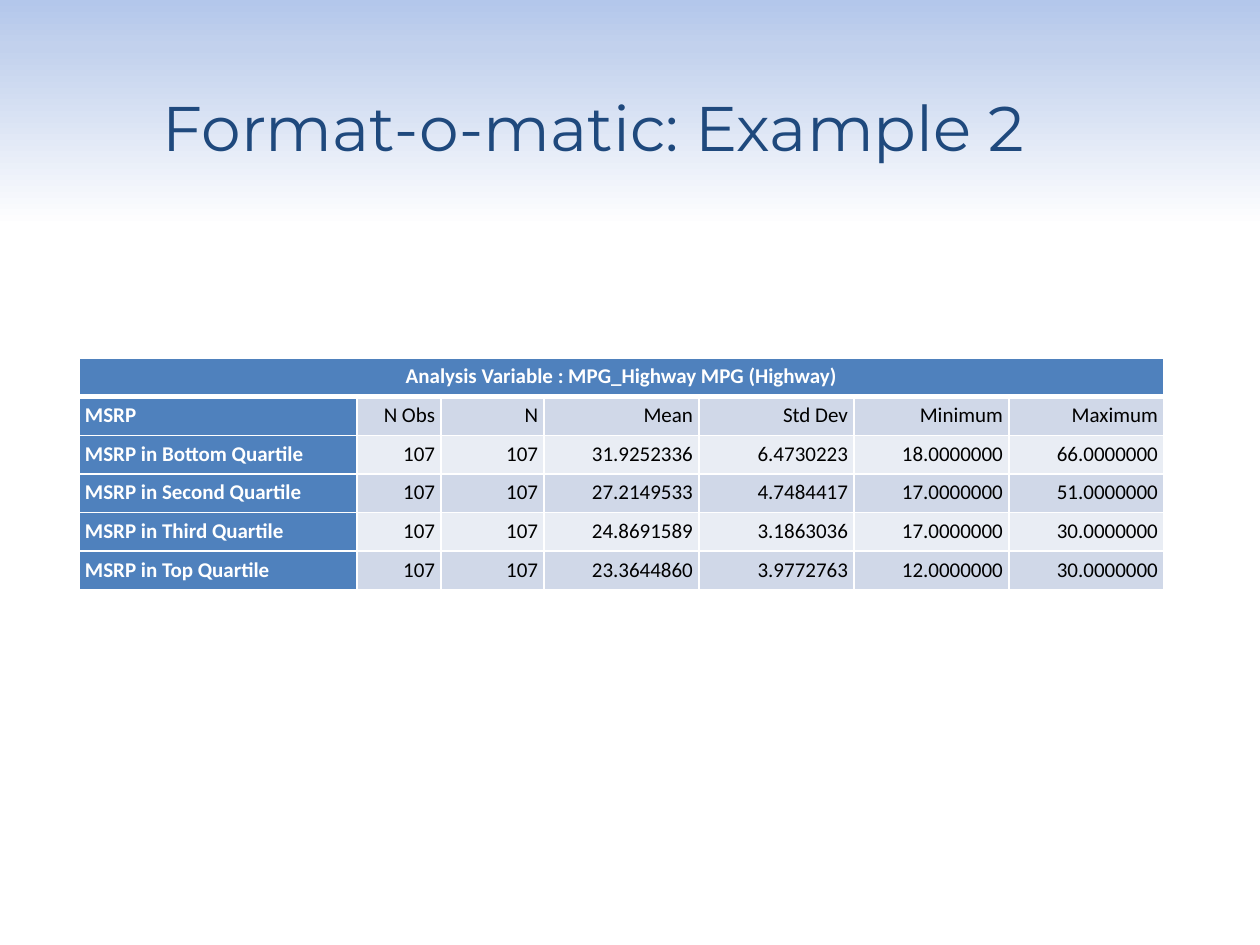
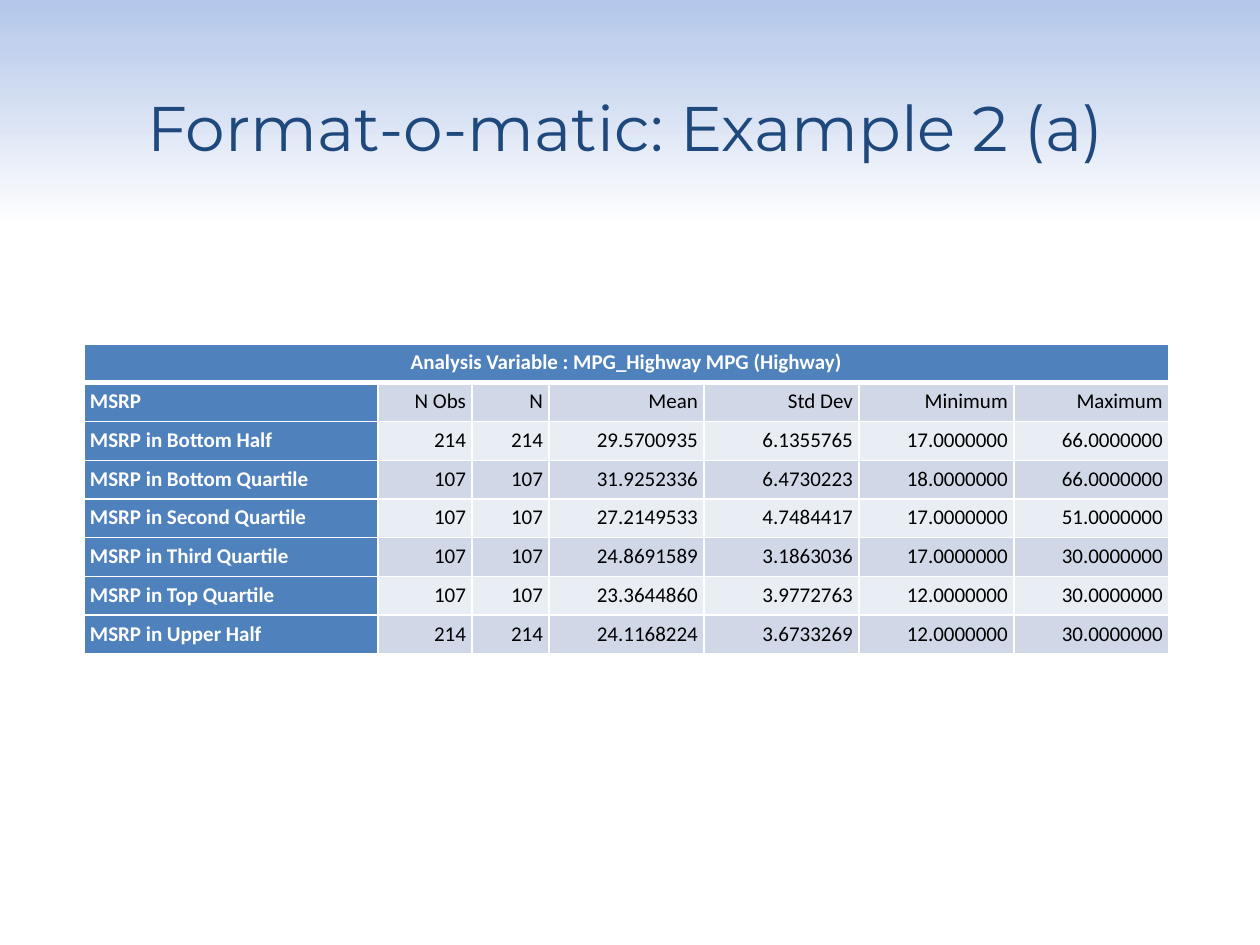
from dataclasses import dataclass

from lxml import etree
from pptx import Presentation
from pptx import util as u
from pptx.dml.color import RGBColor
from pptx.enum import text
from pptx.oxml.ns import qn

SCALE = 914400 / 126  # EMU per px
NAVY, BLUE, WHITE, BLACK = "1F497D", "4F81BD", "FFFFFF", "000000"
BANDS = ["D0D8E8", "E9EDF4"]
FADE = [(0, "B3C7EB"), (5, "C2D1ED"), (24, WHITE), (48, WHITE), (100, WHITE)]
TITLE_FONT, BODY_FONT = "Montserrat", "Calibri"
LEFT, CENTER, RIGHT = (text.PP_ALIGN.LEFT, text.PP_ALIGN.CENTER,
                       text.PP_ALIGN.RIGHT)

CAPTION = "Analysis Variable : MPG_Highway MPG (Highway)"
HEADS = ["MSRP", "N Obs", "N", "Mean", "Std Dev", "Minimum", "Maximum"]
STATS = {
    "Bottom Half": (214, "29.5700935", "6.1355765", 17, 66),
    "Bottom Quartile": (107, "31.9252336", "6.4730223", 18, 66),
    "Second Quartile": (107, "27.2149533", "4.7484417", 17, 51),
    "Third Quartile": (107, "24.8691589", "3.1863036", 17, 30),
    "Top Quartile": (107, "23.3644860", "3.9772763", 12, 30),
    "Upper Half": (214, "24.1168224", "3.6733269", 12, 30),
}


@dataclass
class Page:
    title: str
    title_x: int
    left: int
    top: int
    height: int
    cols: list[int]
    groups: list[str]


STAT_COLS = [155] * 4
PAGES = [
    Page("Format-o-matic: Example 2", 0, 79, 358, 232,
         [278, 84, 103] + STAT_COLS,
         [name for name in STATS if "Quartile" in name]),
    Page("Format-o-matic: Example 2 (a)", 32, 84, 344, 310,
         [294, 94, 77] + STAT_COLS, list(STATS)),
]


def px(n: float) -> u.Emu:
    return u.Emu(round(n * SCALE))


def rgb(code: str) -> RGBColor:
    return RGBColor.from_string(code)


def style(frame, font: str, size: int, color: str, align, bold=False) -> None:
    for para in frame.paragraphs:
        para.alignment = align
        for run in para.runs:
            run.font.name = font
            run.font.size = u.Pt(size)
            run.font.bold = bold
            run.font.color.rgb = rgb(color)


def add_fade(master) -> None:
    """Give every slide the gradient that runs from blue at the top to white."""
    fill = master.background.fill
    fill.gradient()
    fill.gradient_angle = 270
    stops = master.element.find(".//" + qn("p:bg")).find(".//" + qn("a:gsLst"))
    for stop in list(stops):
        stops.remove(stop)
    for pos, code in FADE:
        stop = etree.SubElement(stops, qn("a:gs"), pos=str(pos * 1000))
        etree.SubElement(stop, qn("a:srgbClr"), val=code)


def add_title(slide, page: Page) -> None:
    box = slide.shapes.add_textbox(px(page.title_x), px(63), px(1187), px(126))
    frame = box.text_frame
    frame.word_wrap = True
    frame.vertical_anchor = text.MSO_ANCHOR.MIDDLE
    frame.text = page.title
    style(frame, TITLE_FONT, 36, NAVY, CENTER)


def add_rules(cell, row: int) -> None:
    """Draw white cell borders, thicker below the caption row."""
    props = cell._tc.get_or_add_tcPr()
    widths = {"L": 1, "R": 1, "T": 3 if row == 1 else 1,
              "B": 3 if row == 0 else 1}
    for side, width in widths.items():
        line = etree.SubElement(props, qn("a:ln" + side), w=str(u.Pt(width)))
        fill = etree.SubElement(line, qn("a:solidFill"))
        etree.SubElement(fill, qn("a:srgbClr"), val=WHITE)


def fill_cell(cell, value: str, row: int, col: int) -> None:
    head = row == 0 or col == 0
    add_rules(cell, row)
    cell.fill.solid()
    cell.fill.fore_color.rgb = rgb(BLUE if head else BANDS[(row - 1) % 2])
    cell.margin_left = cell.margin_right = px(6)
    cell.margin_top = cell.margin_bottom = px(6)
    cell.text_frame.text = value
    align = CENTER if row == 0 else LEFT if col == 0 else RIGHT
    style(cell.text_frame, BODY_FONT, 12, WHITE if head else BLACK, align, head)


def stat_row(name: str) -> list[str]:
    count, mean, dev, low, high = STATS[name]
    return [f"MSRP in {name}", str(count), str(count), mean, dev,
            f"{low:.7f}", f"{high:.7f}"]


def add_stats(slide, page: Page) -> None:
    rows = [[CAPTION] + [""] * (len(HEADS) - 1), HEADS]
    rows += [stat_row(name) for name in page.groups]
    table = slide.shapes.add_table(
        len(rows), len(HEADS), px(page.left), px(page.top),
        px(sum(page.cols)), px(page.height)).table
    for col, width in zip(table.columns, page.cols):
        col.width = px(width)
    for r, row in enumerate(rows):
        table.rows[r].height = px(page.height / len(rows))
        for c, value in enumerate(row):
            fill_cell(table.cell(r, c), value, r, c)
    table.cell(0, 0).merge(table.cell(0, len(HEADS) - 1))


def main() -> None:
    prs = Presentation()
    prs.slide_width, prs.slide_height = px(1260), px(945)
    add_fade(prs.slide_master)
    for page in PAGES:
        slide = prs.slides.add_slide(prs.slide_layouts[6])
        add_title(slide, page)
        add_stats(slide, page)
    prs.save("out.pptx")


if __name__ == "__main__":
    main()
